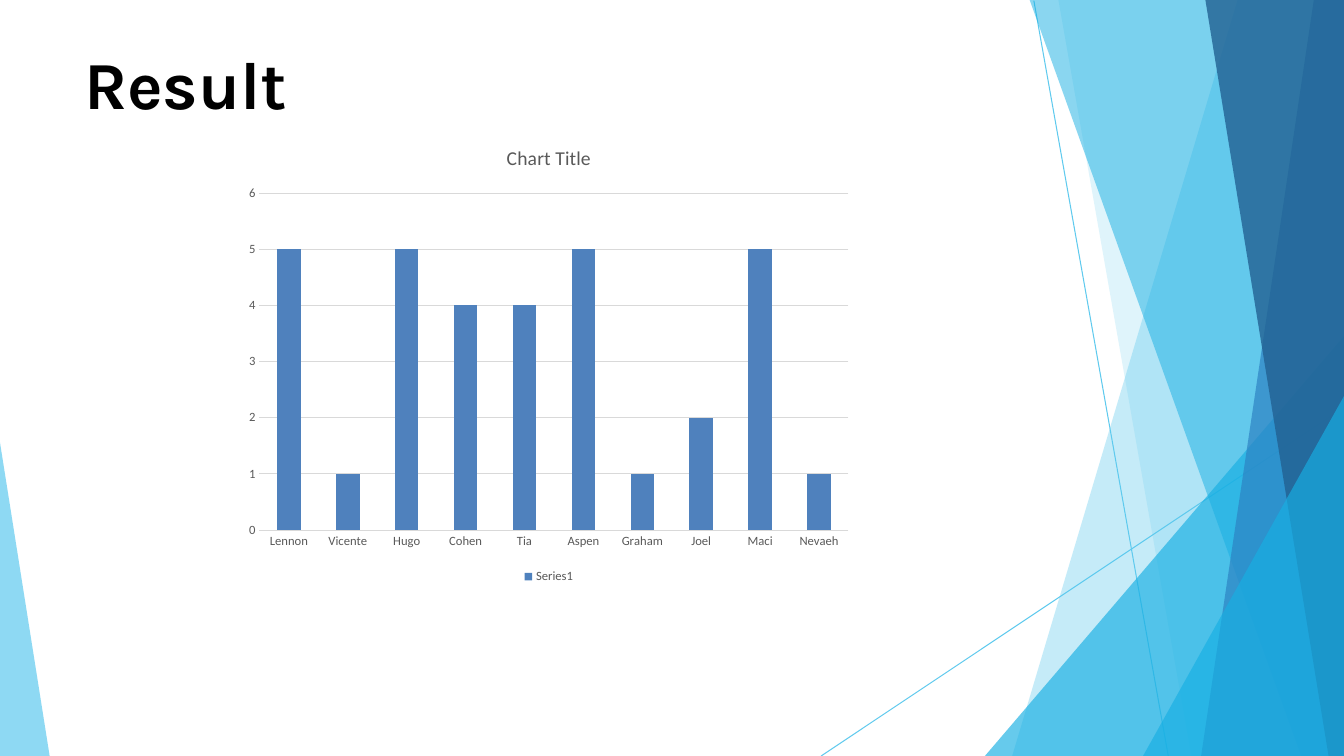
from dataclasses import dataclass

from lxml.etree import SubElement
from pptx import Presentation
from pptx.chart.data import CategoryChartData as Data
from pptx.dml.color import RGBColor as Rgb
from pptx.enum.chart import XL_CHART_TYPE as Kind, XL_LEGEND_POSITION as Pos
from pptx.enum.chart import XL_TICK_MARK as Tick
from pptx.enum.shapes import MSO_CONNECTOR as Link
from pptx.enum.text import MSO_ANCHOR as Anchor
from pptx.oxml.ns import qn
from pptx.util import Pt

WIDE, HIGH = 960, 540


@dataclass(frozen=True)
class Theme:
    sky: str = "5FCAEE"
    aqua: str = "17AFE3"
    blue: str = "2D83C3"
    navy: str = "226192"
    bar: str = "4F81BD"
    ink: str = "000000"
    gray: str = "595959"
    grid: str = "D9D9D9"
    head: str = "Karla"
    body: str = "Calibri"
    big: int = 48
    mid: int = 14
    small: int = 9


class Painter:
    def __init__(self, slide, theme):
        self.slide, self.theme = slide, theme

    def style(self, font, name, size, color, **more):
        look = {"name": name, "size": Pt(size), "bold": False, **more}
        for key, value in look.items():
            setattr(font, key, value)
        font.color.rgb = Rgb.from_string(color)

    def line(self, *ends):
        link = self.slide.shapes.add_connector(Link.STRAIGHT, *map(Pt, ends))
        link.line.width = Pt(0.75)
        link.line.color.rgb = Rgb.from_string(self.theme.sky)
        SubElement(link._element.spPr, qn("a:effectLst"))

    def facet(self, color, alpha, *spots):
        first, *rest = [(Pt(x), Pt(y)) for x, y in spots]
        pen = self.slide.shapes.build_freeform(*first)
        pen.add_line_segments(rest, close=True)
        shape = pen.convert_to_shape()
        shape.shadow.inherit = False
        shape.line.fill.background()
        shape.fill.solid()
        shape.fill.fore_color.rgb = Rgb.from_string(color)
        tint = shape._element.spPr.find(qn("a:solidFill"))[0]
        SubElement(tint, qn("a:alpha"), val=str(alpha * 1000))

    def title(self, text, *box):
        frame = self.slide.shapes.add_textbox(*map(Pt, box)).text_frame
        look = {"word_wrap": True, "vertical_anchor": Anchor.TOP}
        look.update({f"margin_{side}": 0
                     for side in ("left", "top", "right", "bottom")})
        for key, value in look.items():
            setattr(frame, key, value)
        run = frame.paragraphs[0].add_run()
        run.text = text
        th = self.theme
        self.style(run.font, th.head, th.big, th.ink, bold=True)

    def chart(self, title, name, marks, *box):
        th = self.theme
        data = Data()
        data.categories = list(marks)
        data.add_series(name, list(marks.values()))
        chart = self.slide.shapes.add_chart(
            Kind.COLUMN_CLUSTERED, *map(Pt, box), data).chart
        self.style(chart.font, th.body, th.small, th.gray)

        # Heading and legend
        chart.has_title = True
        run = chart.chart_title.text_frame.paragraphs[0].add_run()
        run.text = title
        self.style(run.font, th.body, th.mid, th.gray)
        chart.has_legend = True
        chart.legend.position = Pos.BOTTOM
        chart.legend.include_in_layout = False
        self.style(chart.legend.font, th.body, th.small, th.gray)

        # Axes
        for axis in (chart.category_axis, chart.value_axis):
            axis.major_tick_mark = axis.minor_tick_mark = Tick.NONE
            axis.format.line.fill.background()
            self.style(axis.tick_labels.font, th.body, th.small, th.gray)
        scale = {"minimum_scale": 0, "maximum_scale": 6, "major_unit": 1}
        for key, value in scale.items():
            setattr(chart.value_axis, key, value)
        grid = chart.value_axis.major_gridlines.format.line
        grid.width = Pt(0.75)
        grid.color.rgb = Rgb.from_string(th.grid)

        # Bars
        plot = chart.plots[0]
        plot.gap_width, plot.vary_by_categories = 150, False
        fill = plot.series[0].format.fill
        fill.solid()
        fill.fore_color.rgb = Rgb.from_string(th.bar)


def main():
    deck = Presentation()
    deck.slide_width, deck.slide_height = Pt(WIDE), Pt(HIGH)
    th = Theme()
    art = Painter(deck.slides.add_slide(deck.slide_layouts[6]), th)

    # Thin lines
    art.line(738.5, 0.5, 834.5, HIGH)
    art.line(WIDE, 291, 586.5, HIGH)

    # Facets that fill the right edge: colour, alpha, top x, bottom x
    top, end = (WIDE, 0), (WIDE, HIGH)
    for color, alpha, high, low in (
            (th.sky, 36, 884, 723), (th.sky, 20, 756, 851)):
        art.facet(color, alpha, top, (high, 0), (low, HIGH), end)
    art.facet(th.aqua, 66, (WIDE, 240), (703.5, HIGH), end)
    for color, alpha, high, low in (
            (th.aqua, 50, 735.5, 929.5), (th.blue, 70, 938.5, 858),
            (th.navy, 80, 861, 949)):
        art.facet(color, alpha, top, (high, 0), (low, HIGH), end)
    art.facet(th.aqua, 66, (WIDE, 283), (816.5, HIGH), end)

    # Left wedge
    art.facet(th.sky, 70, (0, 316), (0, HIGH), (35.5, HIGH))

    # Title and chart
    art.title("Result", 60, 30, 841, 60)
    marks = {"Lennon": 5, "Vicente": 1, "Hugo": 5, "Cohen": 4, "Tia": 4,
             "Aspen": 5, "Graham": 1, "Joel": 2, "Maci": 5, "Nevaeh": 1}
    art.chart("Chart Title", "Series1", marks, 169, 90, 446, 330)

    deck.save("out.pptx")


if __name__ == "__main__":
    main()
